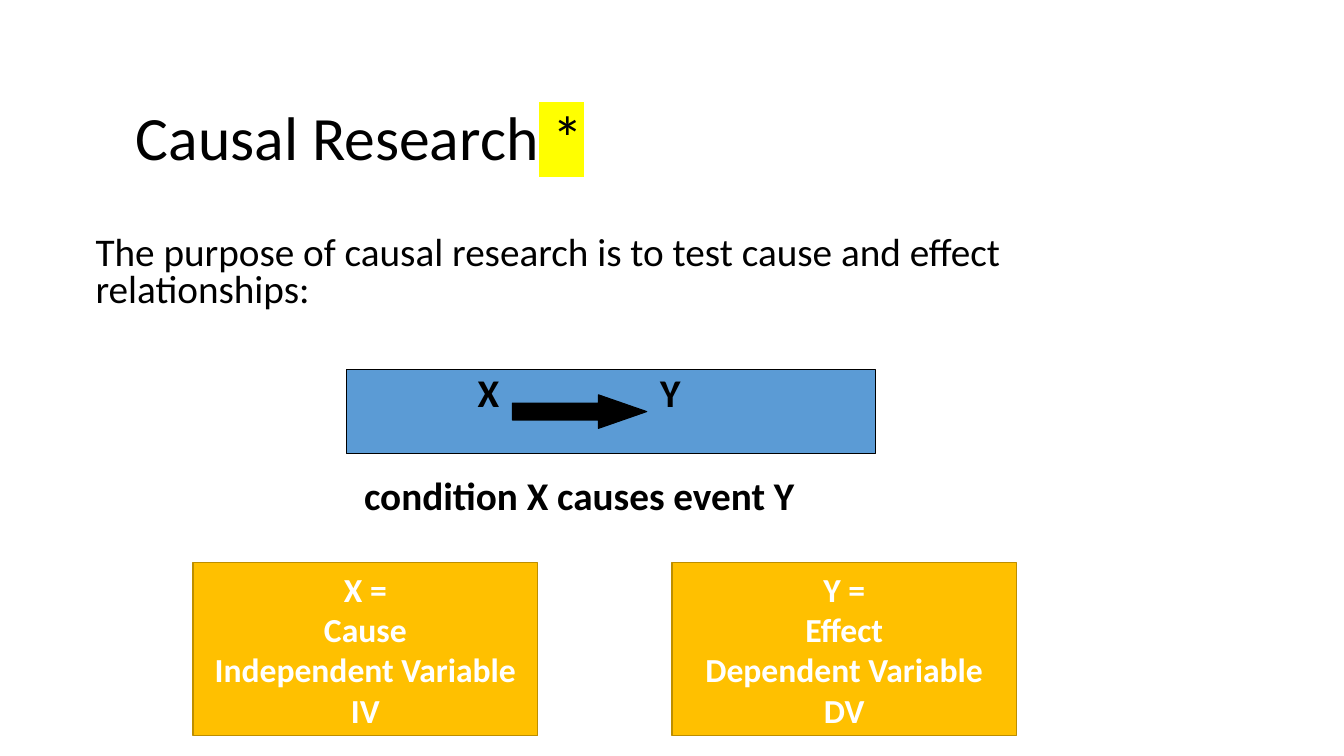
from lxml import etree
from pptx import Presentation
from pptx.dml.color import RGBColor
from pptx.enum.shapes import MSO_SHAPE as SHAPE
from pptx.enum.text import MSO_ANCHOR as ANCHOR, PP_ALIGN as ALIGN
from pptx.oxml import parse_xml
from pptx.oxml.ns import nsdecls, qn
from pptx.util import Inches, Pt

prs = Presentation()
prs.slide_width, prs.slide_height = Inches(13.33), Inches(7.5)
s = prs.slides.add_slide(prs.slide_layouts[6])
COL, ROW = prs.slide_width / 160, prs.slide_height / 90


def add_box(x, y, w, h, kind=None, fill=None, line="000000", weight=0.75):
    at = [int(v) for v in (x * COL, y * ROW, w * COL, h * ROW)]
    if kind is None:
        sp = s.shapes.add_textbox(*at)
    else:
        sp = s.shapes.add_shape(kind, *at)
        sp.shadow.inherit = False
        sp.fill.solid()
        sp.fill.fore_color.rgb = RGBColor.from_string(fill)
        sp.line.color.rgb = RGBColor.from_string(line)
        sp.line.width = Pt(weight)
    sp.text_frame.word_wrap = True
    return sp


def add_text(p, text, size=28, color="000000", bold=False, align=ALIGN.LEFT,
             spacing=1.0, before=0, indent=0, tabs=(), highlight=None):
    p.alignment, p.line_spacing, p.space_before = align, spacing, Pt(before)
    pPr = p._p.get_or_add_pPr()
    if indent:
        pPr.set("marL", str(Inches(indent)))
    if tabs:
        tab_list = etree.SubElement(pPr, qn("a:tabLst"))
        for pos in tabs:
            etree.SubElement(tab_list, qn("a:tab"), pos=str(Inches(pos)), algn="l")
    r = p.add_run()
    r.text = text
    r.font.name, r.font.size, r.font.bold = "Calibri", Pt(size), bold
    r.font.color.rgb = RGBColor.from_string(color)
    if highlight:
        r._r.rPr.find(qn("a:latin")).addprevious(parse_xml(
            f'<a:highlight {nsdecls("a")}><a:srgbClr val="{highlight}"/></a:highlight>'))


add_box(41.25, 44, 63, 10, SHAPE.RECTANGLE, "5B9BD5")

tf = add_box(15, 9.25, 97, 15).text_frame
tf.vertical_anchor = ANCHOR.MIDDLE
p = tf.paragraphs[0]
add_text(p, "Causal Research", size=44, spacing=0.9)
add_text(p, " *", size=44, spacing=0.9, highlight="FFFF00")

arrow = add_box(61, 47, 16, 4, SHAPE.RIGHT_ARROW, "000000")
arrow.adjustments[1] = 1.438

tf = add_box(7.2, 27.5, 123.5, 37).text_frame
add_text(tf.paragraphs[0], "The purpose of causal research is to test cause and effect relationships:",
         spacing=0.8, indent=0.25)
add_text(tf.add_paragraph(), "\tX\tY", bold=True, spacing=0.8, before=47, tabs=(4.04, 5.85))
add_text(tf.add_paragraph(), "condition X causes event Y", bold=True, spacing=0.8,
         before=47, align=ALIGN.CENTER)

variables = [
    ["X =", "Cause", "Independent Variable", "IV"],
    ["Y =", "Effect", "Dependent Variable", "DV"],
]
for i, lines in enumerate(variables):
    tf = add_box(23 + 57 * i, 67, 41, 20.6, SHAPE.RECTANGLE, "FFC000", "BD8E00", 1).text_frame
    tf.vertical_anchor = ANCHOR.MIDDLE
    for j, text in enumerate(lines):
        p = tf.add_paragraph() if j else tf.paragraphs[0]
        add_text(p, text, size=24, color="FFFFFF", bold=True, align=ALIGN.CENTER)

prs.save("out.pptx")
